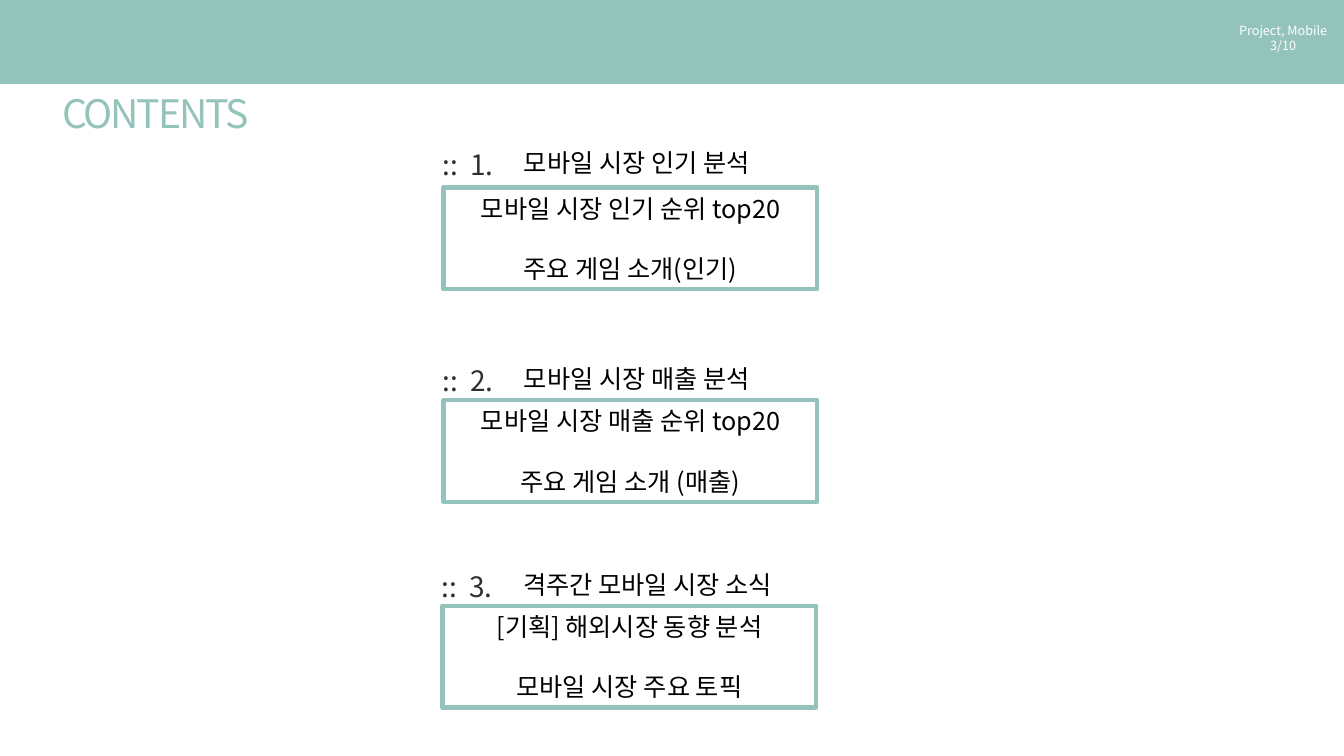
from pptx import Presentation
from pptx.dml.color import RGBColor
from pptx.enum.shapes import MSO_SHAPE
from pptx.enum.text import MSO_ANCHOR, PP_ALIGN
from pptx.util import Pt
from lxml import etree

RECT = MSO_SHAPE.RECTANGLE
TOP, MIDDLE = MSO_ANCHOR.TOP, MSO_ANCHOR.MIDDLE
LEFT, CENTER = PP_ALIGN.LEFT, PP_ALIGN.CENTER

# Content
TITLE = "CONTENTS"
HEADER = ["Project, Mobile", "3/10"]
# heading, topics, left of the frame, top of the heading, heading to frame
SECTIONS = [
    ("모바일 시장 인기 분석",
     ["모바일 시장 인기 순위 top20", "주요 게임 소개(인기)"], 316.8, 101.5, 32.4),
    ("모바일 시장 매출 분석",
     ["모바일 시장 매출 순위 top20", "주요 게임 소개 (매출)"], 316.8, 256.3, 29.5),
    ("격주간 모바일 시장 소식",
     ["[기획] 해외시장 동향 분석", "모바일 시장 주요 토픽"], 316.1, 403.2, 29.5),
]

THEME = {
    "font": "Noto Sans CJK KR",
    "mint": RGBColor(0x94, 0xC3, 0xBB),
    "white": RGBColor(0xFF, 0xFF, 0xFF),
    "black": RGBColor(0, 0, 0),
    "number": RGBColor(0x30, 0x30, 0x2A),
    "title_size": 28, "number_size": 20, "body_size": 18, "header_size": 9,
}

# Layout
WIDTH, HEIGHT = 960, 540
BAND = 60
FRAME_W, FRAME_H = 267, 72.7
NUMBER_DX, HEADING_DX = -7.9, 50.4
NUMBER_TAB = 20
TOPIC_GAP = 21.4

prs = Presentation()
prs.slide_width, prs.slide_height = Pt(WIDTH), Pt(HEIGHT)
s = prs.slides.add_slide(prs.slide_layouts[6])
s.background.fill.solid()
s.background.fill.fore_color.rgb = THEME["mint"]


def write(sp, lines, size, color, align=LEFT, anchor=TOP, gap=0, spacing=0, tab=0):
    """Fill a shape with one paragraph per line."""
    tf = sp.text_frame
    tf.word_wrap = True
    tf.vertical_anchor = anchor
    tf.text = "\n".join(lines)
    for i, p in enumerate(tf.paragraphs):
        if tab:
            pPr = p._p.get_or_add_pPr()
            ns = "{%s}" % pPr.nsmap["a"]
            tabs = etree.SubElement(pPr, ns + "tabLst")
            etree.SubElement(tabs, ns + "tab", pos=str(Pt(tab)), algn="l")
        p.alignment = align
        if i and gap:
            p.space_before = Pt(gap)
        for r in p.runs:
            r.font.size = Pt(THEME[size])
            r.font.name = THEME["font"]
            r.font.color.rgb = THEME[color]
            rPr = r._r.get_or_add_rPr()
            etree.SubElement(rPr, "{%s}ea" % rPr.nsmap["a"], typeface=THEME["font"])
            if spacing:
                rPr.set("spc", str(int(spacing * 100)))


def add_text(x, y, w, h, lines, size, color, **options):
    sp = s.shapes.add_textbox(Pt(x), Pt(y), Pt(w), Pt(h))
    write(sp, lines, size, color, **options)


def add_rect(x, y, w, h):
    sp = s.shapes.add_shape(RECT, Pt(x), Pt(y), Pt(w), Pt(h))
    sp.shadow.inherit = False
    sp.fill.background()
    sp.line.fill.background()
    return sp


# White page under the mint band
page = add_rect(0, BAND, WIDTH, HEIGHT - BAND)
page.fill.solid()
page.fill.fore_color.rgb = THEME["white"]

# Header and title
add_text(875.5, 13, 82, 29, HEADER, "header_size", "white", align=CENTER)
add_text(37.4, 60.5, 151, 41, [TITLE], "title_size", "mint", spacing=-1.5)

# Numbered sections
for n, (heading, topics, x, y, drop) in enumerate(SECTIONS, 1):
    frame = add_rect(x, y + drop, FRAME_W, FRAME_H)
    frame.line.color.rgb = THEME["mint"]
    frame.line.width = Pt(3)
    write(frame, topics, "body_size", "black", align=CENTER, anchor=MIDDLE,
          gap=TOPIC_GAP)
    add_text(x + NUMBER_DX, y, 64, 31.5, [f"::\t{n}."], "number_size", "number",
             tab=NUMBER_TAB)
    add_text(x + HEADING_DX, y, 239, 29, [heading], "body_size", "black")

prs.save("out.pptx")
